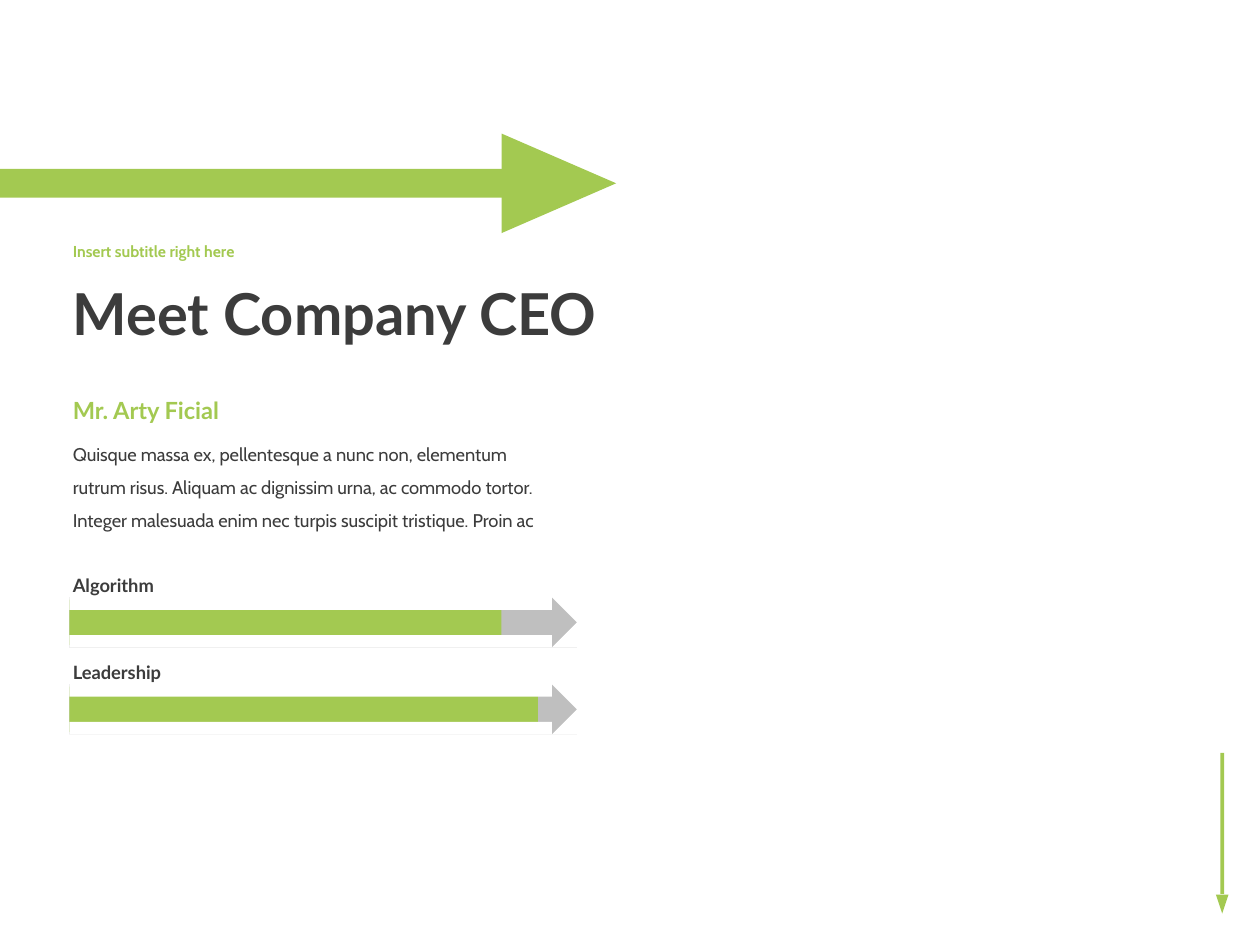
from typing import NamedTuple

from pptx import Presentation
from pptx.dml.color import RGBColor
from pptx.enum.shapes import MSO_SHAPE as Shape
from pptx.enum.text import MSO_ANCHOR as Anchor, MSO_AUTO_SIZE as AutoSize
from pptx.util import Emu, Pt

PX = 9144  # 100 px to the inch
GREEN, GREY, DARK, WHITE = "A3C951", "BFBFBF", "3C3C3C", "FFFFFF"


class Box(NamedTuple):
    left: int
    top: int
    width: int
    height: int


class Label(NamedTuple):
    text: str
    box: Box
    size: float
    font: str
    color: str = DARK
    bold: bool = True
    line_spacing: float = 1.0
    middle: bool = False


class Skill(NamedTuple):
    name: str
    filled: int


LABELS = [
    Label("Meet Company CEO", Box(48, 200, 563, 103), 33, "Lato",
          line_spacing=0.9, middle=True),
    Label("Insert subtitle right here", Box(48, 181, 563, 38), 9, "Cabin", GREEN,
          line_spacing=0.9, middle=True),
    Label("Quisque massa ex, pellentesque a nunc non, elementum rutrum risus. "
          "Aliquam ac dignissim urna, ac commodo tortor. Integer malesuada enim nec "
          "turpis suscipit tristique. Proin ac",
          Box(48, 338, 400, 87), 10.5, "Cabin", bold=False, line_spacing=1.5),
    Label("Mr. Arty Ficial", Box(48, 309, 219, 33), 13.5, "Lato", GREEN),
]
SKILLS = [Skill("Algorithm", 343), Skill("Leadership", 372)]
SKILL_TOP, SKILL_STEP = 451, 69
BAR_LEFT, BAR_WIDTH, BAR_HEIGHT, BAR_DROP = 55, 403, 40, 23
HEAD_WIDTH, SHAFT_INSET = 20, 10


def rgb(color: str) -> RGBColor:
    return RGBColor.from_string(color)


def paint(shape, color: str) -> None:
    shape.shadow.inherit = False
    shape.fill.solid()
    shape.fill.fore_color.rgb = rgb(color)
    shape.line.fill.background()


def add_block(page, kind: Shape, box: Box, color: str, rotation: int = 0) -> None:
    block = page.shapes.add_shape(kind, *(Emu(n * PX) for n in box))
    block.rotation = rotation
    paint(block, color)


def add_label(page, label: Label) -> None:
    box = page.shapes.add_textbox(*(Emu(n * PX) for n in label.box))
    frame = box.text_frame
    frame.text = label.text
    frame.word_wrap = True
    frame.auto_size = AutoSize.NONE if label.middle else AutoSize.SHAPE_TO_FIT_TEXT
    frame.vertical_anchor = Anchor.MIDDLE if label.middle else Anchor.TOP
    para = frame.paragraphs[0]
    para.line_spacing = label.line_spacing
    font = para.runs[0].font
    font.name, font.size, font.bold = label.font, Pt(label.size), label.bold
    font.color.rgb = rgb(label.color)


def add_arrow_mask(page, box: Box) -> None:
    """Cover everything in the box except a right-pointing arrow."""
    left, top = box.left, box.top
    right, bottom = left + box.width, top + box.height
    neck, middle = right - HEAD_WIDTH, top + box.height // 2
    builder = page.shapes.build_freeform(neck, top, scale=PX)
    builder.add_line_segments([
        (right, top), (right, bottom), (left, bottom), (left, bottom - SHAFT_INSET),
        (neck, bottom - SHAFT_INSET), (neck, bottom), (right, middle)])
    builder.move_to(left, top)
    builder.add_line_segments([
        (neck, top), (neck, top + SHAFT_INSET), (left, top + SHAFT_INSET)])
    paint(builder.convert_to_shape(), WHITE)


def add_skill(page, skill: Skill, top: int) -> None:
    bar = Box(BAR_LEFT, top + BAR_DROP, BAR_WIDTH, BAR_HEIGHT)
    add_block(page, Shape.RECTANGLE, bar, GREY)
    filled = Box(bar.left, bar.top + 2, skill.filled, bar.height - 4)
    add_block(page, Shape.RECTANGLE, filled, GREEN)
    add_arrow_mask(page, bar)
    add_label(page, Label(skill.name, Box(48, top, 128, 28), 10.5, "Lato"))


def main() -> None:
    deck = Presentation()
    deck.slide_width, deck.slide_height = Emu(1000 * PX), Emu(750 * PX)
    page = deck.slides.add_slide(deck.slide_layouts[6])

    # Small arrow pointing down in the corner
    add_block(page, Shape.RECTANGLE, Box(914, 652, 112, 3), GREEN, 90)
    add_block(page, Shape.ISOSCELES_TRIANGLE, Box(965, 710, 10, 15), GREEN, 180)

    for label in LABELS:
        add_label(page, label)

    # Large arrow entering from the left edge
    add_block(page, Shape.RECTANGLE, Box(-33, 134, 432, 23), GREEN)
    add_block(page, Shape.ISOSCELES_TRIANGLE, Box(404, 100, 79, 91), GREEN, 90)

    for index, skill in enumerate(SKILLS):
        add_skill(page, skill, SKILL_TOP + index * SKILL_STEP)

    deck.save("out.pptx")


if __name__ == "__main__":
    main()
